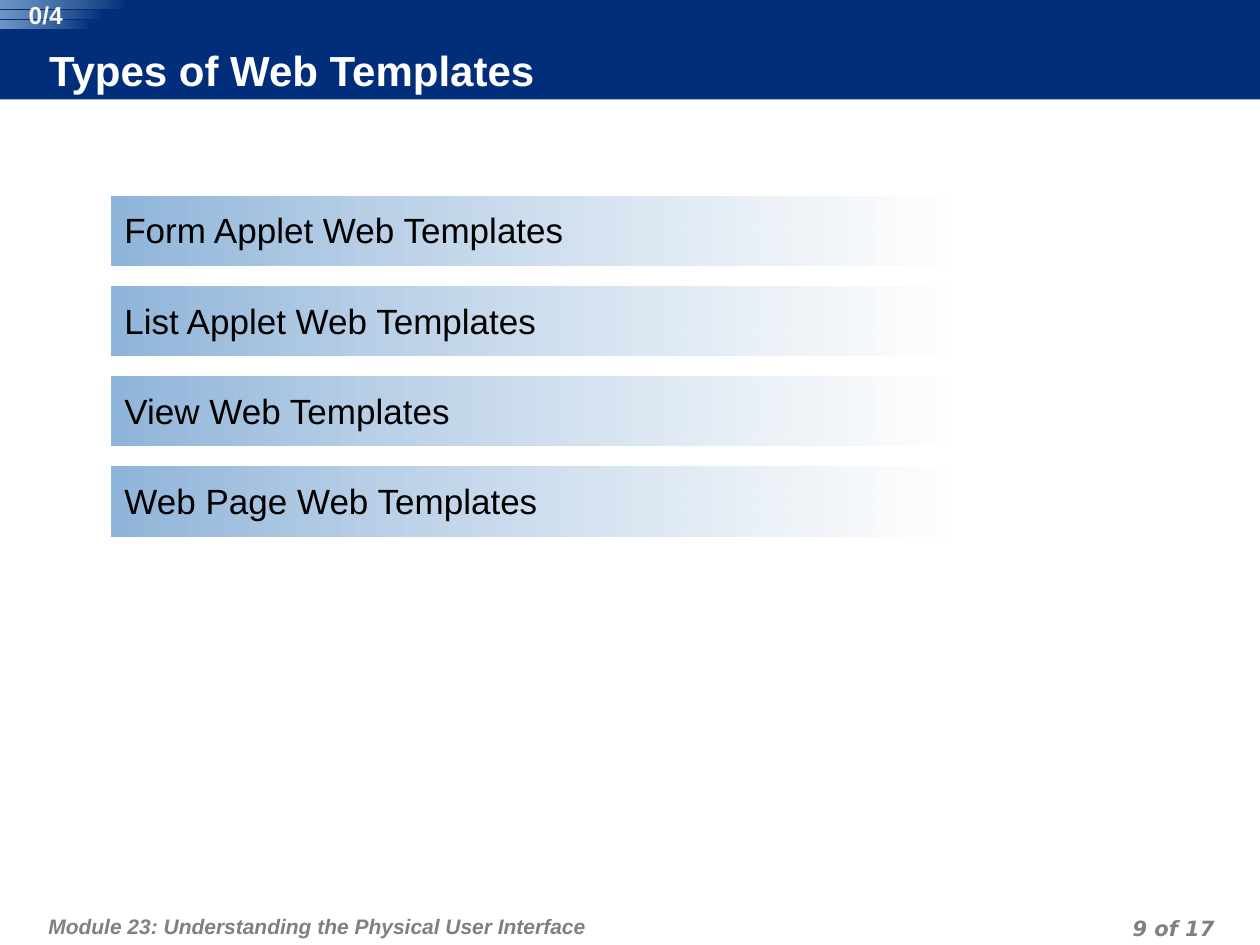
from dataclasses import dataclass

from lxml import etree
from pptx import Presentation
from pptx.dml.color import RGBColor
from pptx.enum.shapes import MSO_SHAPE
from pptx.enum.text import MSO_ANCHOR, MSO_AUTO_SIZE, PP_ALIGN
from pptx.oxml.ns import qn
from pptx.util import Pt

RECT, ROUND_RECT = MSO_SHAPE.RECTANGLE, MSO_SHAPE.ROUNDED_RECTANGLE
TOP, MIDDLE = MSO_ANCHOR.TOP, MSO_ANCHOR.MIDDLE
LEFT, CENTER, RIGHT = PP_ALIGN.LEFT, PP_ALIGN.CENTER, PP_ALIGN.RIGHT


@dataclass(frozen=True)
class Theme:
    navy: str = "002E7A"
    sky: str = "90B5DA"
    pale: str = "FEFEFE"
    white: str = "FFFFFF"
    off_white: str = "F8F8F8"
    black: str = "000000"
    grey: str = "808080"
    font: str = "Arial"
    number_font: str = "DejaVu Sans"
    title_size: int = 24
    item_size: int = 20
    counter_size: int = 14
    footer_size: int = 12


T = Theme()


def write(sp, text, size, color, margins, align=LEFT, anchor=TOP, font=T.font,
          bold=False, italic=False, line=None):
    tf = sp.text_frame
    tf.word_wrap = True
    tf.auto_size = MSO_AUTO_SIZE.NONE
    tf.vertical_anchor = anchor
    tf.margin_left, tf.margin_top, tf.margin_right, tf.margin_bottom = map(Pt, margins)
    p = tf.paragraphs[0]
    p.alignment = align
    if line:
        p.line_spacing = Pt(line)
    r = p.add_run()
    r.text = text
    r.font.name, r.font.size = font, Pt(size)
    r.font.bold, r.font.italic = bold, italic
    r.font.color.rgb = RGBColor.from_string(color)


def solid(sp, color):
    sp.fill.solid()
    sp.fill.fore_color.rgb = RGBColor.from_string(color)


def fading_bar(shapes, box, stops):
    """Borderless bar; stops are (colour, opacity %) from right to left."""
    sp = shapes.add_shape(ROUND_RECT, *map(Pt, box))
    sp.adjustments[0] = 0
    sp.shadow.inherit = False
    sp.line.fill.background()
    sp.fill.gradient()
    sp.fill.gradient_angle = 180
    for stop, (color, opacity) in zip(sp.fill.gradient_stops, stops):
        stop.color.rgb = RGBColor.from_string(color)
        if opacity < 100:
            clr = sp.fill._fill._gradFill.findall(".//" + qn("a:srgbClr"))[-1]
            etree.SubElement(clr, qn("a:alpha")).set("val", str(opacity * 1000))
    return sp


def header(s, box, title):
    x, y, w, h = box
    # Band behind the title
    band = s.shapes.add_shape(RECT, *map(Pt, box))
    band.shadow.inherit = False
    band.line.fill.background()
    solid(band, T.navy)
    s.shapes._spTree.insert(2, band._element)
    # Title
    sp = s.shapes.title
    sp.left, sp.top, sp.width, sp.height = map(Pt, (x + 28, y + 27.4, w - 60, h - 28))
    solid(sp, T.navy)
    write(sp, title, T.title_size, T.white, (0, 0, 3.6, 3.6), anchor=MIDDLE, bold=True)


def item_list(s, box, items, pitch):
    x, y, w, h = box
    for i, item in enumerate(items):
        bar = fading_bar(s.shapes, (x, y + i * pitch, w, h), [(T.pale, 75), (T.sky, 100)])
        write(bar, item, T.item_size, T.black, (7.2, 7.2, 7.2, 3.6))


def counter(s, box, text):
    x, y, w, h = box
    group = s.shapes.add_group_shape()
    # Stripes, shorter towards the bottom
    for i, share in enumerate((1, 0.81, 0.72)):
        fading_bar(group.shapes, (x, y + i * 5.9, w * share, 4.7),
                   [(T.navy, 100), (T.sky, 76)])
    sp = group.shapes.add_textbox(*map(Pt, (x + 8, y, w / 2, h)))
    write(sp, text, T.counter_size, T.off_white, (0, 0, 0, 0), CENTER, bold=True)


def footer(s, box, module, number):
    x, y, w, h = box
    style = dict(bold=True, italic=True, line=18)
    sp = s.shapes.add_textbox(*map(Pt, (x, y, 445, h)))
    write(sp, module, T.footer_size, T.grey, (3.6, 7.2, 3.6, 3.6), **style)
    sp = s.shapes.add_textbox(*map(Pt, (x + w - 168, y + 8.6, 168, 18)))
    write(sp, number, T.footer_size, T.grey, (3.6, 0, 3.6, 0), RIGHT,
          font=T.number_font, **style)


def main():
    prs = Presentation()
    prs.slide_width, prs.slide_height = Pt(720), Pt(540)
    s = prs.slides.add_slide(prs.slide_layouts[5])
    header(s, (0, 0, 720, 56.8), "Types of Web Templates")
    footer(s, (24, 511.2, 673.6, 28.8),
           "Module 23: Understanding the Physical User Interface", "9 of 17")
    item_list(s, (64, 112.2, 479.5, 39.6),
              ["Form Applet Web Templates", "List Applet Web Templates",
               "View Web Templates", "Web Page Web Templates"], pitch=51.5)
    counter(s, (0, 0, 72.7, 16.8), "0/4")
    prs.save("out.pptx")


if __name__ == "__main__":
    main()
